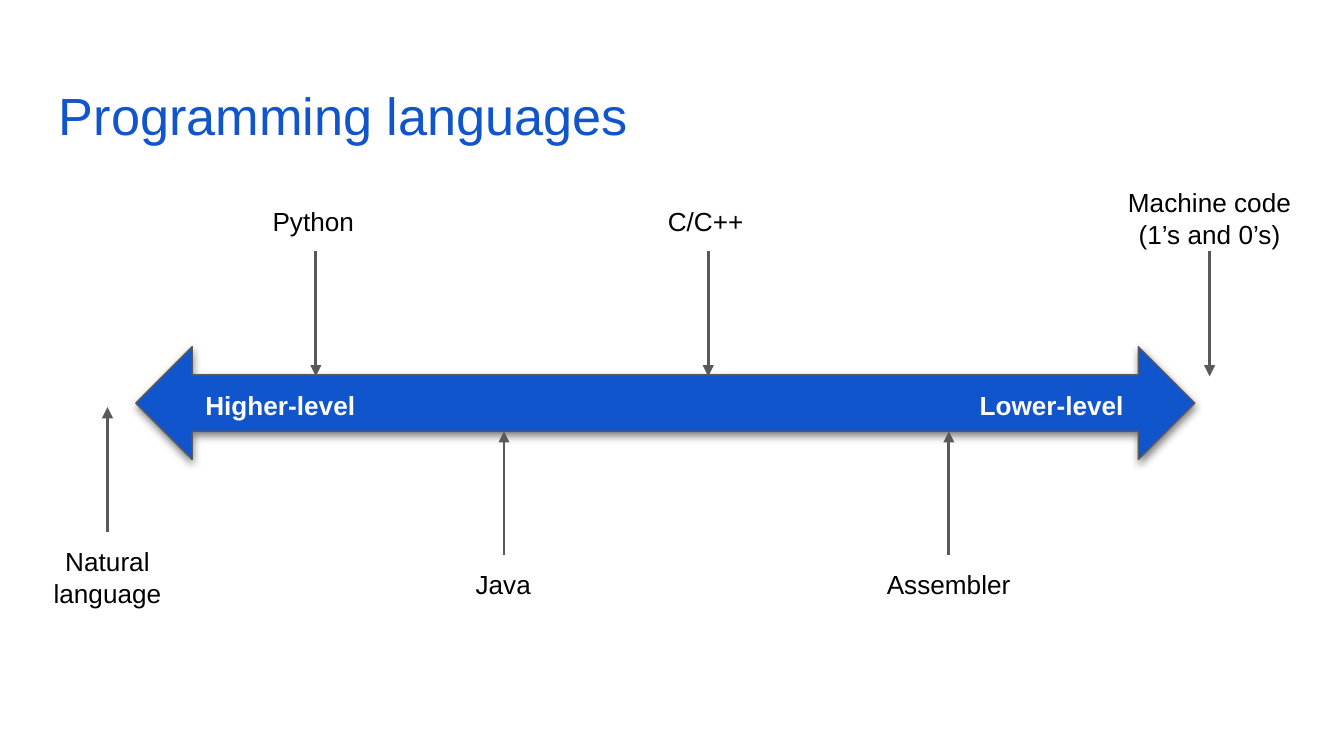
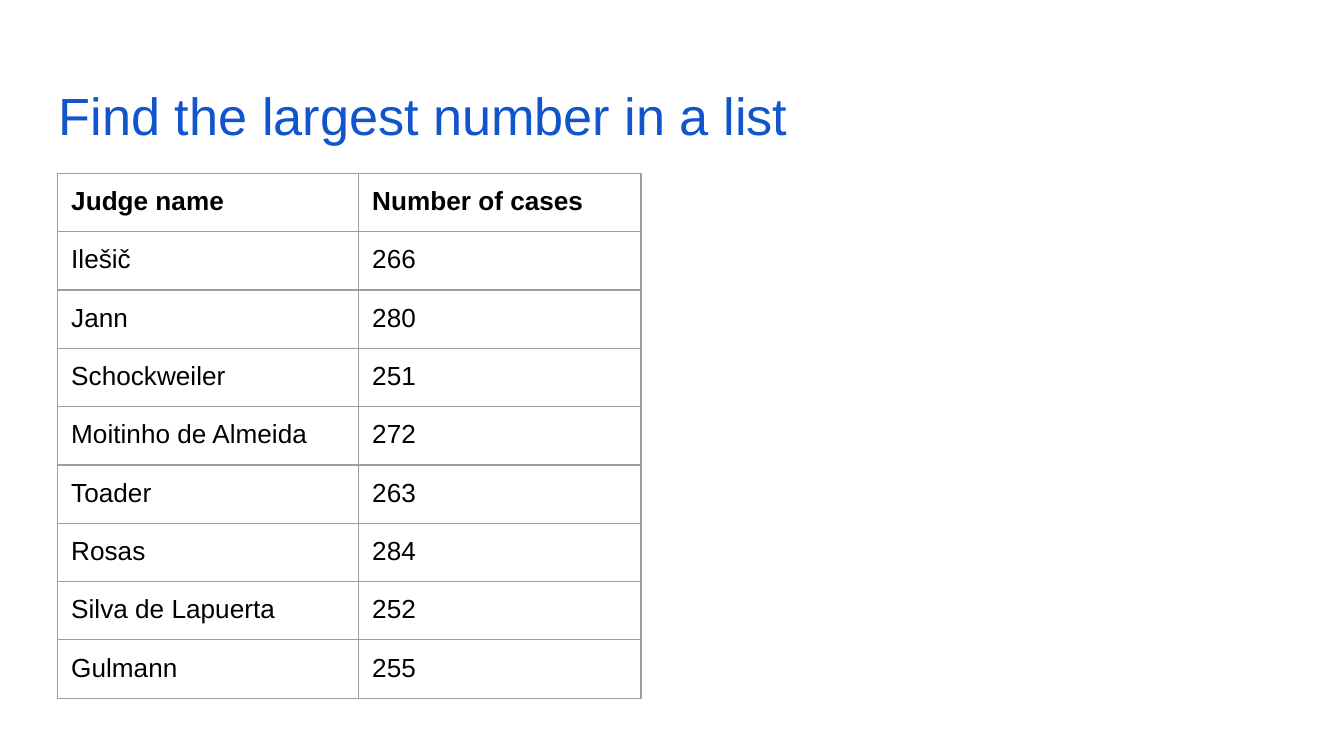
from dataclasses import dataclass

import pptx
import pptx.dml.color
import pptx.enum.shapes
import pptx.enum.text
import pptx.oxml
import pptx.oxml.ns
import pptx.util

SHAPES = pptx.enum.shapes.MSO_SHAPE
ALIGN = pptx.enum.text.PP_ALIGN
NAMESPACE = pptx.oxml.ns.nsdecls("a")


@dataclass(frozen=True)
class Theme:
    font: str = "Arial"
    title_size: int = 28
    body_size: int = 14
    accent: str = "1155CC"
    ink: str = "000000"
    light: str = "FFFFFF"
    outline: str = "595959"
    rule: str = "9E9E9E"
    thin: float = 0.75
    thick: float = 1.5


@dataclass(frozen=True)
class Box:
    left: float
    top: float
    width: float
    height: float

    def inner(self, left, top, width, height):
        return Box(self.left + left, self.top + top, width, height)

    def frame(self):
        return [grid(n) for n in (self.left, self.top, self.width, self.height)]


THEME = Theme()
SLIDE_WIDTH = pptx.util.Inches(10)
SLIDE_HEIGHT = pptx.util.Inches(5.625)
GRID_COLUMNS = 100
INSET = 1
TITLE_BOX = Box(3.4, 4.9, 93.2, 6.3)
SCALE_BOX = Box(2.7, 12.9, 94.5, 33)
TABLE_BOX = Box(4.3, 12.9, 43.4, 37.8)

BAND_LABELS = [
    ("Higher-level", 11.6, 13.4),
    ("Lower-level", 69.2, 12.9),
]

MARKERS = [
    ("Python", (16.6, 1.4, 8.4, 4.4), (20.8, 5.8, 15.1), ALIGN.LEFT),
    ("C/C++", (46, 1.4, 7.9, 4.4), (50, 5.8, 15.1), ALIGN.LEFT),
    ("Machine code\n(1’s and 0’s)", (80.1, 0, 14.4, 6.3), (87.3, 5.8, 15.1), ALIGN.CENTER),
    ("Natural language", (0, 26.7, 10.6, 6.3), (5.3, 26.7, 17.4), ALIGN.CENTER),
    ("Java", (31.7, 28.4, 6.3, 4.4), (34.8, 28.4, 19.2), ALIGN.LEFT),
    ("Assembler", (62.3, 28.4, 11.4, 4), (67.9, 28.4, 19.2), ALIGN.LEFT),
]

JUDGES = [
    ("Judge name", "Number of cases"),
    ("Ilešič", "266"),
    ("Jann", "280"),
    ("Schockweiler", "251"),
    ("Moitinho de Almeida", "272"),
    ("Toader", "263"),
    ("Rosas", "284"),
    ("Silva de Lapuerta", "252"),
    ("Gulmann", "255"),
]
COLUMN_WIDTHS = (22.4, 21)


def grid(count):
    return round(count * SLIDE_WIDTH / GRID_COLUMNS)


def rgb(code):
    return pptx.dml.color.RGBColor.from_string(code)


def write(frame, text, *, size=THEME.body_size, color=THEME.ink, bold=False, align=ALIGN.LEFT):
    for index, line in enumerate(text.split("\n")):
        para = frame.add_paragraph() if index else frame.paragraphs[0]
        para.alignment = align
        span = para.add_run()
        span.text = line
        span.font.name = THEME.font
        span.font.size = pptx.util.Pt(size)
        span.font.bold = bold
        span.font.color.rgb = rgb(color)


def set_margins(target, top=INSET):
    target.margin_left = target.margin_right = target.margin_bottom = grid(INSET)
    target.margin_top = grid(top)


def add_text(page, box, text, top_inset=INSET, **style):
    frame = page.shapes.add_textbox(*box.frame()).text_frame
    frame.word_wrap = True
    frame.vertical_anchor = pptx.enum.text.MSO_ANCHOR.TOP
    set_margins(frame, top_inset)
    write(frame, text, **style)


def add_title(page, text):
    add_text(page, TITLE_BOX, text, top_inset=1.3, size=THEME.title_size, color=THEME.accent)


def add_marker(page, box, column, start, tip):
    x = grid(box.left + column)
    line = page.shapes.add_connector(
        pptx.enum.shapes.MSO_CONNECTOR.STRAIGHT,
        x, grid(box.top + start), x, grid(box.top + tip),
    )
    line.line.color.rgb = rgb(THEME.outline)
    line.line.width = pptx.util.Pt(THEME.thick)
    line.line._get_or_add_ln().append(
        pptx.oxml.parse_xml(f'<a:tailEnd {NAMESPACE} type="triangle"/>'))
    line._element.spPr.append(pptx.oxml.parse_xml(f"<a:effectLst {NAMESPACE}/>"))


def add_band(page, box):
    turned = box.inner(
        (box.width - box.height) / 2, (box.height - box.width) / 2, box.height, box.width)
    band = page.shapes.add_shape(SHAPES.UP_DOWN_ARROW, *turned.frame())
    band.rotation = 90
    band.adjustments[0] = band.adjustments[1] = 0.5
    band.fill.solid()
    band.fill.fore_color.rgb = rgb(THEME.accent)
    band.line.color.rgb = rgb(THEME.outline)
    band.line.width = pptx.util.Pt(THEME.thin)
    blur, distance = pptx.util.Pt(4.5), pptx.util.Pt(1.5)
    band._element.spPr.append(pptx.oxml.parse_xml(
        f'<a:effectLst {NAMESPACE}><a:outerShdw blurRad="{blur}" dist="{distance}" '
        'dir="5400000" algn="bl" rotWithShape="0"><a:srgbClr val="000000">'
        '<a:alpha val="50000"/></a:srgbClr></a:outerShdw></a:effectLst>'))


def add_language_scale(page, box):
    add_band(page, box.inner(7.4, 12.9, 78.8, 8.4))
    for text, left, width in BAND_LABELS:
        add_text(page, box.inner(left, 15.1, width, 4), text, color=THEME.light, bold=True)
    for text, place, arrow, align in MARKERS:
        add_text(page, box.inner(*place), text, align=align)
        add_marker(page, box, *arrow)


def add_borders(cell):
    properties = cell._tc.get_or_add_tcPr()
    for index, side in enumerate(("lnL", "lnR", "lnT", "lnB")):
        properties.insert(index, pptx.oxml.parse_xml(
            f'<a:{side} {NAMESPACE} w="{pptx.util.Pt(THEME.thin)}"><a:solidFill>'
            f'<a:srgbClr val="{THEME.rule}"/></a:solidFill></a:{side}>'))


def add_judge_table(page, box):
    table = page.shapes.add_table(len(JUDGES), len(COLUMN_WIDTHS), *box.frame()).table
    table.first_row = table.horz_banding = False
    for column, width in zip(table.columns, COLUMN_WIDTHS):
        column.width = grid(width)
    for row_index, values in enumerate(JUDGES):
        table.rows[row_index].height = grid(box.height / len(JUDGES))
        for column_index, value in enumerate(values):
            cell = table.cell(row_index, column_index)
            set_margins(cell)
            cell.fill.background()
            add_borders(cell)
            write(cell.text_frame, value, bold=row_index == 0)


def add_page(deck, title, build, box):
    page = deck.slides.add_slide(deck.slide_layouts[6])
    add_title(page, title)
    build(page, box)


def main():
    deck = pptx.Presentation()
    deck.slide_width, deck.slide_height = SLIDE_WIDTH, SLIDE_HEIGHT
    add_page(deck, "Programming languages", add_language_scale, SCALE_BOX)
    add_page(deck, "Find the largest number in a list", add_judge_table, TABLE_BOX)
    deck.save("out.pptx")


if __name__ == "__main__":
    main()
